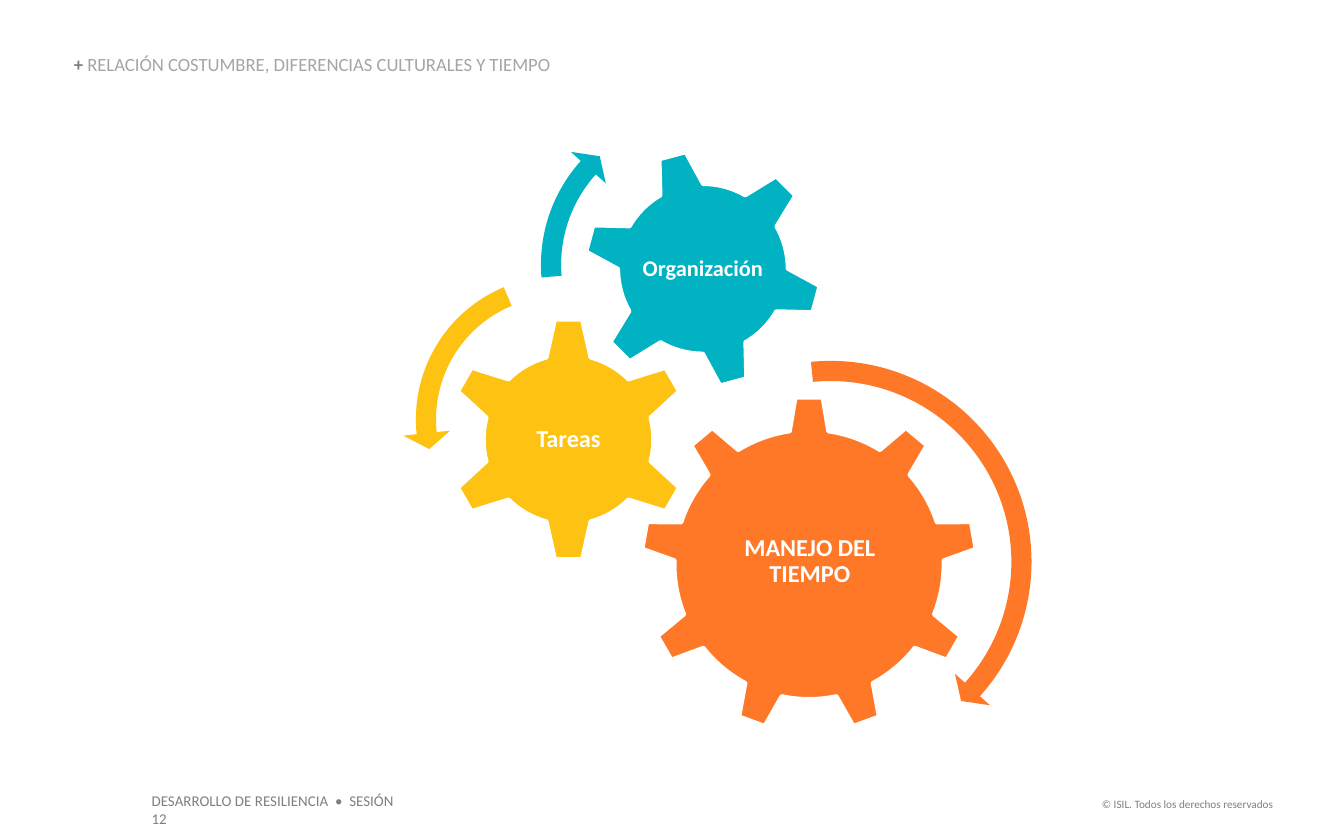
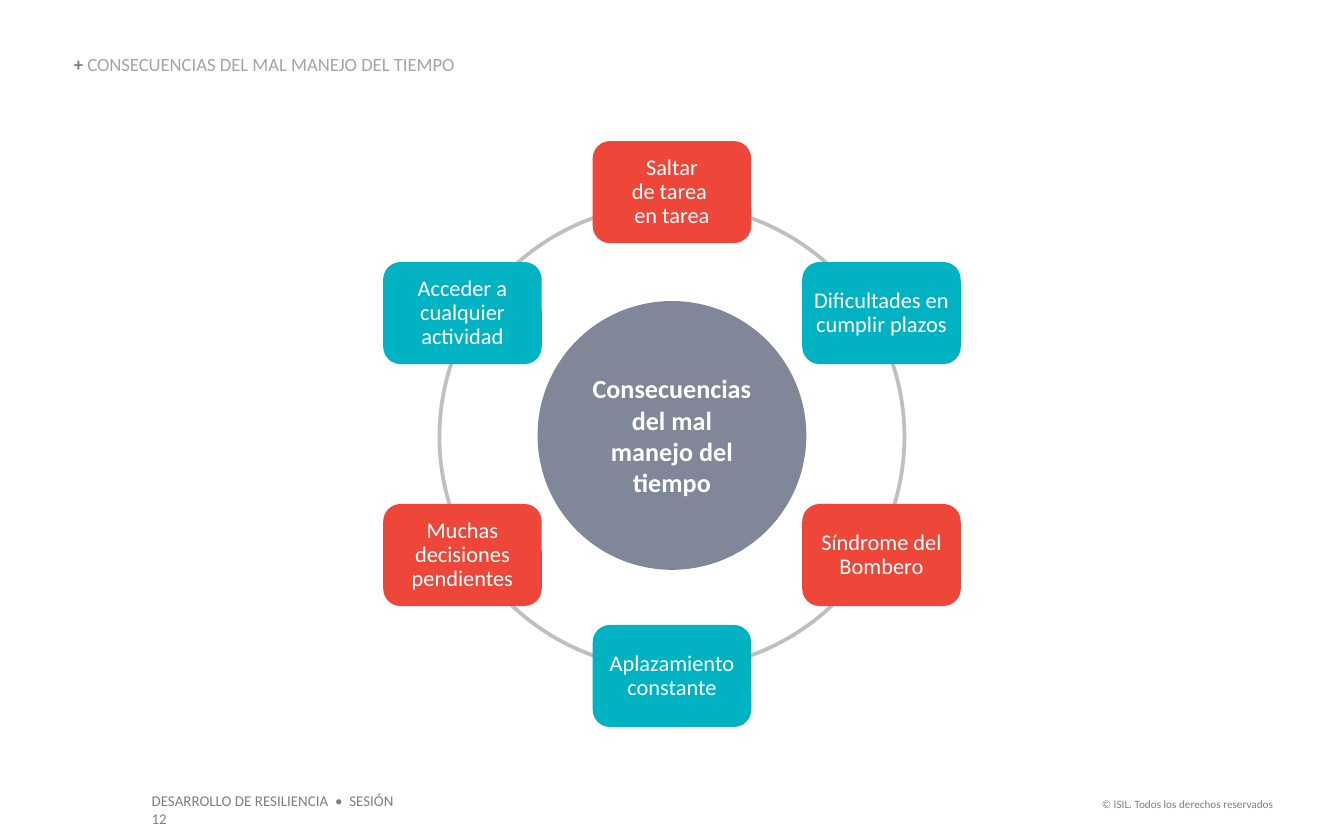
from dataclasses import dataclass
from math import atan2, ceil, cos, degrees, hypot, radians, sin, tan

from lxml.etree import SubElement
from pptx import Presentation
from pptx.dml.color import RGBColor
from pptx.enum.shapes import MSO_SHAPE
from pptx.enum.text import MSO_ANCHOR, PP_ALIGN
from pptx.oxml.ns import qn
from pptx.util import Inches, Pt

# The slide is a grid of 10 columns by 6.25 rows of square cells.
CELL = Inches(1)
COLUMNS, ROWS = 10, 6.25


@dataclass(frozen=True)
class Theme:
    font: str = "Calibri"
    white: RGBColor = RGBColor(0xFF, 0xFF, 0xFF)
    gray: RGBColor = RGBColor(0x7F, 0x7F, 0x7F)
    light_gray: RGBColor = RGBColor(0xA5, 0xA5, 0xA5)
    ring: RGBColor = RGBColor(0xBF, 0xBF, 0xBF)
    slate: RGBColor = RGBColor(0x7F, 0x87, 0x99)
    orange: RGBColor = RGBColor(0xFF, 0x78, 0x27)
    yellow: RGBColor = RGBColor(0xFD, 0xC2, 0x12)
    teal: RGBColor = RGBColor(0x00, 0xB2, 0xC2)
    red: RGBColor = RGBColor(0xEE, 0x46, 0x39)
    title_size: int = 10
    session_size: int = 8
    rights_size: int = 6
    hub_size: int = 14
    gear_size: int = 13
    node_size: int = 12
    outline: int = 2
    tight_spacing: float = 0.9


THEME = Theme()


@dataclass(frozen=True)
class Gear:
    label: str
    color: RGBColor
    center: tuple
    teeth: int
    rotation: float
    tip_radius: float
    root_radius: float
    root_half_angle: float
    label_area: tuple
    label_size: int


@dataclass(frozen=True)
class Turn:
    """Curved arrow; angles run clockwise from the top."""
    color: RGBColor
    center: tuple
    radius: float
    start: float
    end: float


GEARS = (
    Gear("MANEJO DEL TIEMPO", THEME.orange, (6.02, 4.2), 9, 0, 1.24, 1, 8.2,
         (5.28, 3.54, 1.49, 1.28), THEME.gear_size),
    Gear("Tareas", THEME.yellow, (4.23, 3.27), 6, 0, 0.89, 0.63, 15,
         (3.78, 2.82, 0.9, 0.9), THEME.gear_size),
    Gear("Organización", THEME.teal, (5.23, 2), 6, 345, 0.87, 0.63, 15,
         (4.73, 1.5, 1, 1), THEME.node_size),
)
TURNS = (
    Turn(THEME.orange, (6.18, 4.18), 1.42, -5.6, 132),
    Turn(THEME.yellow, (4.16, 3.12), 0.99, -22.7, -96),
    Turn(THEME.teal, (5.18, 1.97), 1.08, -94.7, -48),
)
CONSEQUENCES = (
    "Saltar\vde tarea \ven tarea",
    "Dificultades en cumplir plazos",
    "Síndrome del Bombero",
    "Aplazamiento constante",
    "Muchas decisiones pendientes",
    "Acceder a cualquier actividad",
)


def grid(*cells):
    return [round(cell * CELL) for cell in cells]


def centered(center, width, height):
    x, y = center
    return grid(x - width / 2, y - height / 2, width, height)


def polar(center, radius, angle):
    """Point at an angle in degrees, clockwise from the top."""
    x, y = center
    return x + radius * sin(radians(angle)), y - radius * cos(radians(angle))


def arc(center, radius, start, end):
    """Cubic curves, each as two control points and an end point."""
    count = ceil(abs(end - start) / 60)
    step = (end - start) / count
    reach = 4 / 3 * tan(radians(step / 4))
    lean, control = degrees(atan2(reach, 1)), radius * hypot(reach, 1)
    curves = []
    for index in range(count):
        begin, finish = start + index * step, start + (index + 1) * step
        curves.append([polar(center, control, begin + lean),
                       polar(center, control, finish - lean),
                       polar(center, radius, finish)])
    return curves


def paint(shape, fill=None, line=None):
    shape.shadow.inherit = False
    if fill is None:
        shape.fill.background()
    else:
        shape.fill.solid()
        shape.fill.fore_color.rgb = fill
    if line is None:
        shape.line.fill.background()
    else:
        shape.line.color.rgb = line
        shape.line.width = Pt(THEME.outline)


def set_frame(frame, insets, anchor):
    frame.word_wrap = True
    frame.vertical_anchor = anchor
    side, edge = grid(*insets)
    frame.margin_left = frame.margin_right = side
    frame.margin_top = frame.margin_bottom = edge


def style_run(run, size, color, bold=False):
    run.font.name = THEME.font
    run.font.size = Pt(size)
    run.font.bold = bold
    run.font.color.rgb = color


def write(shape, text, size, color, insets, bold=False, align=PP_ALIGN.CENTER,
          anchor=MSO_ANCHOR.MIDDLE, spacing=None):
    set_frame(shape.text_frame, insets, anchor)
    paragraph = shape.text_frame.paragraphs[0]
    paragraph.text = text
    paragraph.alignment = align
    if spacing:
        paragraph.line_spacing = spacing
    for run in paragraph.runs:
        style_run(run, size, color, bold)


def add_title(slide, title):
    heading = slide.shapes.add_textbox(*grid(0.55, 0.41, 5.63, 0.15))
    set_frame(heading.text_frame, (0, 0), MSO_ANCHOR.BOTTOM)
    paragraph = heading.text_frame.paragraphs[0]
    paragraph.line_spacing = THEME.tight_spacing
    for text, color, bold in (("+ ", THEME.gray, True),
                              (title, THEME.light_gray, False)):
        run = paragraph.add_run()
        run.text = text
        style_run(run, THEME.title_size, color, bold)


def add_footer(slide):
    footers = (
        ("DESARROLLO DE RESILIENCIA  •  SESIÓN 12", (1.03, 5.84, 2.1, 0.24),
         THEME.session_size, PP_ALIGN.LEFT),
        ("© ISIL. Todos los derechos reservados", (8.07, 5.88, 1.5, 0.2),
         THEME.rights_size, PP_ALIGN.RIGHT),
    )
    for text, area, size, align in footers:
        write(slide.shapes.add_textbox(*grid(*area)), text, size, THEME.gray,
              (0.1, 0.05), align=align, anchor=MSO_ANCHOR.TOP)


def add_slide(deck, title, add_diagram):
    slide = deck.slides.add_slide(deck.slide_layouts[6])
    add_footer(slide)
    add_diagram(slide)
    add_title(slide, title)


def add_outline(slide, center, reach, segments):
    """Freeform in a square box, with straight (1 point) or cubic (3) segments."""
    left, top, side, _ = centered(center, 2 * reach, 2 * reach)
    builder = slide.shapes.build_freeform(left, top)
    builder.add_line_segments([(left + side, top), (left + side, top + side),
                               (left, top + side)])
    outline = builder.convert_to_shape()
    route = outline.element.find(".//" + qn("a:path"))
    for command in list(route):
        route.remove(command)
    for index, points in enumerate(segments):
        kind = "a:cubicBezTo" if len(points) == 3 else "a:lnTo"
        command = SubElement(route, qn(kind if index else "a:moveTo"))
        for point in points:
            x, y = grid(*point)
            SubElement(command, qn("a:pt"), x=str(x - left), y=str(y - top))
    SubElement(route, qn("a:close"))
    return outline


def add_gear(slide, gear):
    pitch = 360 / gear.teeth
    tip_half_width = 0.1
    tip_half_angle = degrees(atan2(tip_half_width, gear.tip_radius))
    corner_radius = hypot(tip_half_width, gear.tip_radius)
    segments = []
    for tooth in range(gear.teeth):
        angle = tooth * pitch
        valley = (angle + gear.root_half_angle,
                  angle + pitch - gear.root_half_angle)
        segments += [[polar(gear.center, corner_radius, angle + side)]
                     for side in (-tip_half_angle, tip_half_angle)]
        segments.append([polar(gear.center, gear.root_radius, valley[0])])
        segments += arc(gear.center, gear.root_radius, *valley)
    wheel = add_outline(slide, gear.center, gear.tip_radius + 0.02, segments)
    wheel.rotation = gear.rotation
    paint(wheel, gear.color, THEME.white)

    label = slide.shapes.add_textbox(*grid(*gear.label_area))
    write(label, gear.label, gear.label_size, THEME.white, (0.02, 0.02),
          bold=True, spacing=THEME.tight_spacing)
    return [wheel, label]


def add_turn(slide, turn):
    half_band, half_head, head_length = 0.075, 0.175, 0.12
    direction = 1 if turn.end > turn.start else -1
    tip = turn.end + direction * degrees(head_length / turn.radius)
    outer, inner = turn.radius + half_band, turn.radius - half_band
    segments = [[polar(turn.center, outer, turn.start)]]
    segments += arc(turn.center, outer, turn.start, turn.end)
    segments += [[polar(turn.center, radius, angle)] for radius, angle in (
        (turn.radius + half_head, turn.end), (turn.radius, tip),
        (turn.radius - half_head, turn.end), (inner, turn.end))]
    segments += arc(turn.center, inner, turn.end, turn.start)
    arrow = add_outline(slide, turn.center, turn.radius + half_head, segments)
    paint(arrow, turn.color)
    return arrow


def add_gear_train(slide):
    parts = [part for gear in GEARS for part in add_gear(slide, gear)]
    parts += [add_turn(slide, turn) for turn in TURNS]
    slide.shapes.add_group_shape(parts)


def add_circle(slide, center, diameter, fill=None, line=None):
    circle = slide.shapes.add_shape(
        MSO_SHAPE.OVAL, *centered(center, diameter, diameter))
    paint(circle, fill, line)
    return circle


def add_node(slide, center, text, color):
    node = slide.shapes.add_shape(
        MSO_SHAPE.ROUNDED_RECTANGLE, *centered(center, 1.18, 0.76))
    node.adjustments[0] = 0.17
    paint(node, color)
    write(node, text, THEME.node_size, THEME.white, (0.05, 0.05),
          spacing=THEME.tight_spacing)


def add_consequence_wheel(slide):
    middle = COLUMNS / 2
    add_circle(slide, (middle, 3.25), 3.46, line=THEME.ring)
    for index, text in enumerate(CONSEQUENCES):
        angle = index * 360 / len(CONSEQUENCES)
        color = THEME.teal if index % 2 else THEME.red
        add_node(slide, polar((middle, 3.23), 1.8, angle), text, color)
    hub = add_circle(slide, (middle, 3.24), 2, fill=THEME.slate)
    write(hub, "Consecuencias del mal manejo del tiempo", THEME.hub_size,
          THEME.white, (0.1, 0.05), bold=True)


def main():
    deck = Presentation()
    deck.slide_width, deck.slide_height = grid(COLUMNS, ROWS)
    add_slide(deck, "RELACIÓN COSTUMBRE, DIFERENCIAS CULTURALES Y TIEMPO",
              add_gear_train)
    add_slide(deck, "CONSECUENCIAS DEL MAL MANEJO DEL TIEMPO",
              add_consequence_wheel)
    deck.save("out.pptx")


if __name__ == "__main__":
    main()
